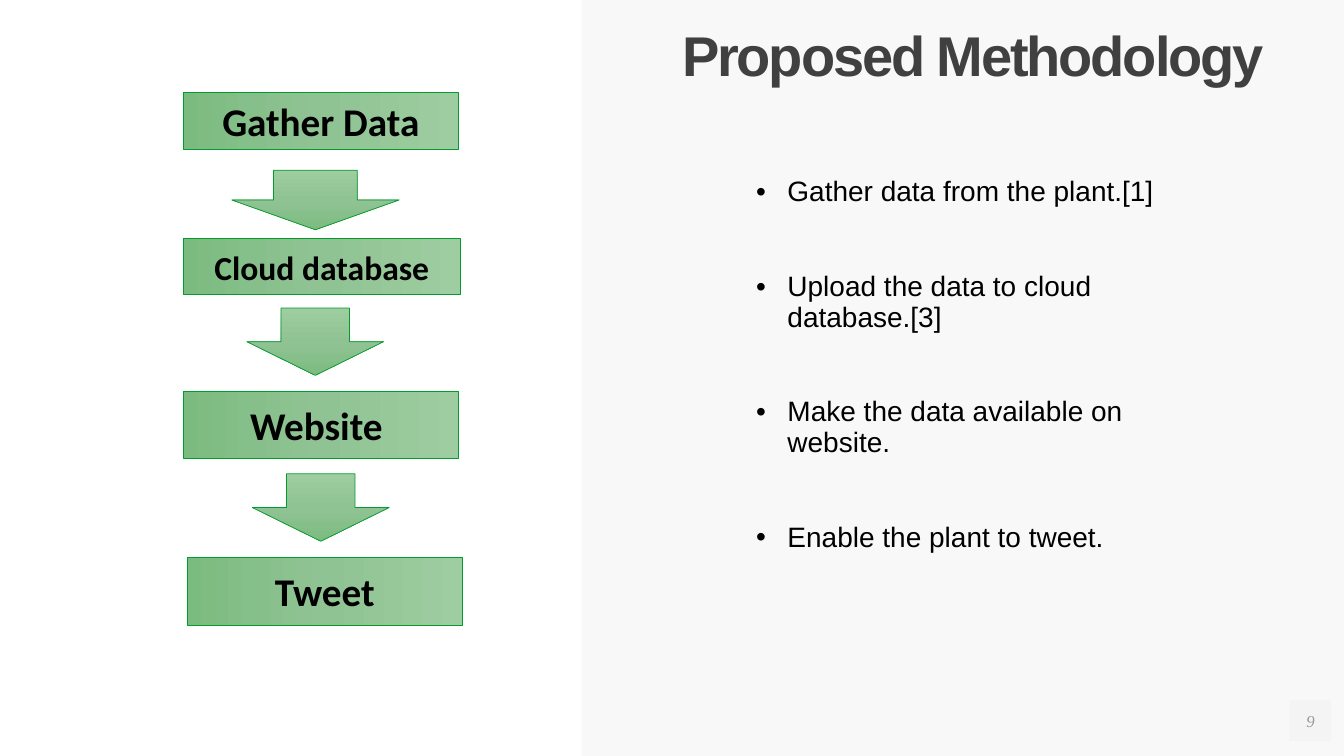
from copy import deepcopy

from lxml.etree import SubElement
from pptx import Presentation
from pptx.dml.color import RGBColor
from pptx.enum.shapes import MSO_SHAPE
from pptx.enum.text import MSO_ANCHOR, MSO_AUTO_SIZE, PP_ALIGN
from pptx.oxml.ns import qn
from pptx.util import Cm, Pt

PANEL_GREY = RGBColor(0xF2, 0xF2, 0xF2)
DARK_GREY = RGBColor(0x40, 0x40, 0x40)
BLACK = RGBColor(0x00, 0x00, 0x00)
BORDER_GREEN = RGBColor(0x02, 0x9B, 0x2D)
GREENS = (RGBColor(0x9D, 0xCD, 0xA0), RGBColor(0x90, 0xC3, 0x94),
          RGBColor(0x7C, 0xBB, 0x80))
NO_TABLE_STYLE = "{2D5ABB26-0587-4C30-8999-92F81FD0307C}"

TITLE_FONT = dict(name="Arial", size=Pt(40), bold=True)
LIST_FONT = dict(name="Arial", size=Pt(20))
NUMBER_FONT = dict(name="Times New Roman", size=Pt(12), italic=True)
STEP_FONT = dict(name="Calibri", bold=True)

POINTS = ("Gather data from the plant.[1]",
          "Upload the data to cloud database.[3]",
          "Make the data available on website.",
          "Enable the plant to tweet.")

# Offsets within the flow: left, top, width, height in cm
STEPS = (("Gather Data", 28, (0, 0, 6.93, 1.42)),
         ("Cloud database", 24, (0, 3.67, 6.98, 1.42)),
         ("Website ", 28, (0, 7.51, 6.93, 1.7)),
         ("Tweet", 28, (0.1, 11.71, 6.93, 1.7)))
ARROWS = ((1.22, 1.95, 4.22, 1.5),
          (1.6, 5.42, 3.45, 1.7),
          (1.74, 9.6, 3.45, 1.7))


def set_attributes(target, values):
    for name, value in values.items():
        setattr(target, name, value)


def style_text(paragraph, font, color):
    set_attributes(paragraph.font, font)
    paragraph.font.color.rgb = color


def fill_translucent(shape):
    shape.fill.solid()
    shape.fill.fore_color.rgb = PANEL_GREY
    color = shape.element.spPr.find(".//" + qn("a:srgbClr"))
    SubElement(color, qn("a:alpha"), val="50000")


def add_green_shape(slide, kind, box, angle):
    shape = slide.shapes.add_shape(kind, *map(Cm, box))
    shape.shadow.inherit = False
    shape.fill.gradient()
    shape.fill.gradient_angle = angle
    stops = shape.element.spPr.find(".//" + qn("a:gsLst"))
    middle = deepcopy(stops[0])
    middle.set("pos", "50000")
    stops.insert(1, middle)
    for stop, green in zip(shape.fill.gradient_stops, GREENS):
        stop.color.rgb = green
    shape.line.color.rgb = BORDER_GREEN
    shape.line.width = Pt(0.5)
    return shape


def add_flow(slide, left, top):
    def offset(box):
        return (left + box[0], top + box[1], *box[2:])

    for label, size, box in STEPS:
        step = add_green_shape(slide, MSO_SHAPE.RECTANGLE, offset(box), 180)
        frame = step.text_frame
        frame.text = label
        frame.vertical_anchor = MSO_ANCHOR.MIDDLE
        frame.paragraphs[0].alignment = PP_ALIGN.CENTER
        style_text(frame.paragraphs[0], dict(STEP_FONT, size=Pt(size)), BLACK)
    for box in ARROWS:
        add_green_shape(slide, MSO_SHAPE.DOWN_ARROW, offset(box), 270)


def fill_title_panel(title, box):
    """The title placeholder spans the whole right-hand panel."""
    set_attributes(title, dict(zip(("left", "top", "width", "height"),
                                   map(Cm, box))))
    fill_translucent(title)
    frame = title.text_frame
    frame.text = "Proposed Methodology"
    set_attributes(frame, dict(
        auto_size=MSO_AUTO_SIZE.NONE, word_wrap=True,
        vertical_anchor=MSO_ANCHOR.TOP, margin_left=Cm(0.5),
        margin_top=Cm(0.71), margin_right=0, margin_bottom=0))
    heading = frame.paragraphs[0]
    heading.alignment = PP_ALIGN.CENTER
    heading.line_spacing = 0.9
    style_text(heading, TITLE_FONT, DARK_GREY)
    heading.runs[0]._r.get_or_add_rPr().set("spc", "-150")


def add_points_table(slide, box):
    """A borderless one-row table with the points beside an empty column."""
    frame = slide.shapes.add_table(1, 2, *map(Cm, box))
    table = frame.table
    frame.element.find(".//" + qn("a:tableStyleId")).text = NO_TABLE_STYLE
    set_attributes(table, dict(first_row=False, horz_banding=False))
    for column, width in zip(table.columns, (11.3, box[2] - 11.3)):
        column.width = Cm(width)
    for cell in table.iter_cells():
        cell.fill.background()
        cell.vertical_anchor = MSO_ANCHOR.MIDDLE

    points = table.cell(0, 0).text_frame
    points.text = "\n".join(POINTS)
    for index, point in enumerate(points.paragraphs):
        properties = point._p.get_or_add_pPr()
        properties.set("marL", str(Cm(0.79)))
        properties.set("indent", str(Cm(-0.79)))
        point.space_before = Pt(45 if index else 0)
        SubElement(properties, qn("a:buFont"), typeface="Arial")
        SubElement(properties, qn("a:buChar"), char="•")
        style_text(point, LIST_FONT, BLACK)


def add_page_number(slide, box):
    """The number lies behind the translucent title panel."""
    badge = slide.shapes.add_shape(MSO_SHAPE.RECTANGLE, *map(Cm, box))
    badge.shadow.inherit = False
    badge.line.fill.background()
    fill_translucent(badge)
    frame = badge.text_frame
    frame.text = "9"
    set_attributes(frame, dict(
        vertical_anchor=MSO_ANCHOR.MIDDLE, margin_left=0, margin_top=0,
        margin_right=0, margin_bottom=0))
    frame.paragraphs[0].alignment = PP_ALIGN.CENTER
    style_text(frame.paragraphs[0], NUMBER_FONT, DARK_GREY)
    slide.shapes.title.element.addprevious(badge.element)


def build_methodology_slide(presentation):
    slide = presentation.slides.add_slide(presentation.slide_layouts[5])
    fill_title_panel(slide.shapes.title, (14.66, 0, 19.21, 19.05))
    add_points_table(slide, (18.8, 4.32, 13.23, 9.7))
    add_page_number(slide, (32.51, 17.65, 1.04, 1.02))
    add_flow(slide, 4.62, 2.34)


def main():
    presentation = Presentation()
    presentation.slide_width = Cm(33.87)
    presentation.slide_height = Cm(19.05)
    build_methodology_slide(presentation)
    presentation.save("out.pptx")


if __name__ == "__main__":
    main()
